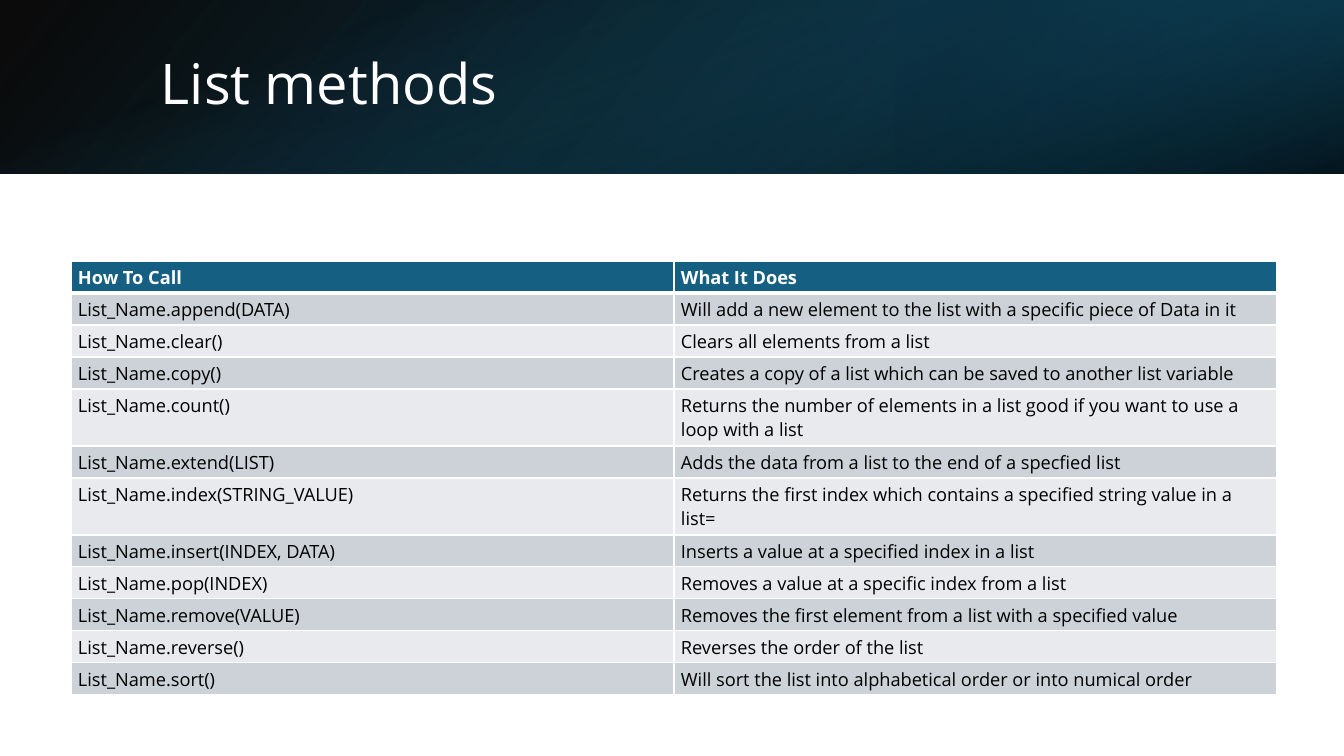
from dataclasses import dataclass

from lxml.etree import SubElement
from pptx import Presentation
from pptx.dml.color import RGBColor
from pptx.enum.shapes import MSO_SHAPE
from pptx.enum.text import MSO_ANCHOR
from pptx.oxml.ns import qn
from pptx.slide import Slide
from pptx.table import _Cell
from pptx.util import Pt

PX = 914400 / 100.8
SLIDE_W, SLIDE_H = 1344, 756
BAND_H = 174
TABLE_X, TABLE_Y, COLUMN_W = 71, 261, 603
ROW_H, WRAPPED_ROW_H = 32, 57

BLACK = RGBColor(0x00, 0x00, 0x00)
WHITE = RGBColor(0xFF, 0xFF, 0xFF)
TEAL = RGBColor(0x15, 0x60, 0x82)
DEEP_TEAL = RGBColor(0x10, 0x48, 0x62)
NAVY = RGBColor(0x0B, 0x30, 0x41)
ODD_ROW = RGBColor(0xCC, 0xD2, 0xD8)
EVEN_ROW = RGBColor(0xE8, 0xEA, 0xED)

TITLE_FONT = {"name": "Open Sans", "size": Pt(40)}
HEADER_FONT = {"name": "Open Sans", "size": Pt(13), "bold": True}
BODY_FONT = HEADER_FONT | {"bold": False}


@dataclass(frozen=True)
class Stop:
    position: int
    color: RGBColor
    opacity: int


@dataclass(frozen=True)
class Layer:
    """One gradient sheet of the header band; angle runs clockwise."""
    x: int
    y: int
    width: int
    height: int
    angle: int
    stops: tuple[Stop, Stop]
    rotation: int = 0
    flipped: bool = False


@dataclass(frozen=True)
class Method:
    call: str
    effect: str
    wraps: bool = False


TURNED_OFFSET = (SLIDE_W - BAND_H) // 2
BAND_LAYERS = (
    Layer(0, 0, SLIDE_W, BAND_H, 140,
          (Stop(0, BLACK, 96), Stop(100, DEEP_TEAL, 100)), flipped=True),
    Layer(896, 0, 448, BAND_H, 320,
          (Stop(19, NAVY, 68), Stop(100, TEAL, 79)), rotation=180, flipped=True),
    Layer(TURNED_OFFSET, -TURNED_OFFSET, BAND_H, SLIDE_W, 340,
          (Stop(23, TEAL, 0), Stop(99, BLACK, 74)), rotation=90),
)

METHODS = (
    Method("append(DATA)", "Will add a new element to the list with a specific piece of Data in it"),
    Method("clear()", "Clears all elements from a list"),
    Method("copy()", "Creates a copy of a list which can be saved to another list variable"),
    Method("count()", "Returns the number of elements in a list good if you want to use a loop with a list",
           wraps=True),
    Method("extend(LIST)", "Adds the data from a list to the end of a specfied list"),
    Method("index(STRING_VALUE)", "Returns the first index which contains a specified string value in a list=",
           wraps=True),
    Method("insert(INDEX, DATA)", "Inserts a value at a specified index in a list"),
    Method("pop(INDEX)", "Removes a value at a specific index from a list"),
    Method("remove(VALUE)", "Removes the first element from a list with a specified value"),
    Method("reverse()", "Reverses the order of the list"),
    Method("sort()", "Will sort the list into alphabetical order or into numical order"),
)


def px(*lengths: int) -> list[int]:
    return [round(length * PX) for length in lengths]


def apply_format(target: object, values: dict) -> None:
    for name, value in values.items():
        setattr(target, name, value)


def draw_layer(slide: Slide, layer: Layer) -> None:
    sheet = slide.shapes.add_shape(
        MSO_SHAPE.RECTANGLE, *px(layer.x, layer.y, layer.width, layer.height))
    sheet.shadow.inherit = False
    sheet.line.fill.background()
    sheet.rotation = layer.rotation
    if layer.flipped:
        sheet.element.spPr.xfrm.set("flipH", "1")
    sheet.fill.gradient()
    sheet.fill.gradient_angle = 360 - layer.angle
    for gradient_stop, stop in zip(sheet.fill.gradient_stops, layer.stops):
        gradient_stop.position = stop.position / 100
        gradient_stop.color.rgb = stop.color
    for color, stop in zip(sheet.element.spPr.iter(qn("a:srgbClr")), layer.stops):
        SubElement(color, qn("a:alpha"), val=str(stop.opacity * 1000))


def draw_title(slide: Slide, wording: str) -> None:
    frame = slide.shapes.add_textbox(*px(151, 38, 1107, 97)).text_frame
    apply_format(frame, {"word_wrap": True, "vertical_anchor": MSO_ANCHOR.MIDDLE})
    heading = frame.paragraphs[0]
    heading.line_spacing = 0.9
    run = heading.add_run()
    run.text = wording
    apply_format(run.font, TITLE_FONT)
    run.font.color.rgb = WHITE


def add_borders(cell: _Cell, bottom: int, top: int) -> None:
    """Rule the cell in white; widths in points go before the cell's fill."""
    properties = cell._tc.get_or_add_tcPr()
    for index, (side, width) in enumerate(
            {"lnL": 1, "lnR": 1, "lnT": top, "lnB": bottom}.items()):
        line = SubElement(properties, qn(f"a:{side}"), w=str(Pt(width)))
        fill = SubElement(line, qn("a:solidFill"))
        SubElement(fill, qn("a:srgbClr"), val=str(WHITE))
        properties.insert(index, line)


def fill_cell(cell: _Cell, wording: str, row: int) -> None:
    is_header = row == 0
    left, top, right, bottom = px(7, 4, 7, 3)
    apply_format(cell, {"margin_left": left, "margin_top": top,
                        "margin_right": right, "margin_bottom": bottom})
    cell.fill.solid()
    cell.fill.fore_color.rgb = TEAL if is_header else ODD_ROW if row % 2 else EVEN_ROW
    add_borders(cell, bottom=3 if is_header else 1, top=3 if row == 1 else 1)
    run = cell.text_frame.paragraphs[0].add_run()
    run.text = wording
    apply_format(run.font, HEADER_FONT if is_header else BODY_FONT)
    run.font.color.rgb = WHITE if is_header else BLACK


def draw_methods(slide: Slide, methods: tuple[Method, ...]) -> None:
    rows = [("How To Call", "What It Does")]
    rows += [(f"List_Name.{method.call}", method.effect) for method in methods]
    heights = [ROW_H] + [WRAPPED_ROW_H if method.wraps else ROW_H for method in methods]
    table = slide.shapes.add_table(
        len(rows), 2, *px(TABLE_X, TABLE_Y, 2 * COLUMN_W, sum(heights))).table
    for column in table.columns:
        column.width = px(COLUMN_W)[0]
    for index, (wordings, height) in enumerate(zip(rows, px(*heights))):
        table.rows[index].height = height
        for cell, wording in zip(table.rows[index].cells, wordings):
            fill_cell(cell, wording, index)


def main() -> None:
    deck = Presentation()
    deck.slide_width, deck.slide_height = px(SLIDE_W, SLIDE_H)
    slide = deck.slides.add_slide(deck.slide_layouts[6])
    for layer in BAND_LAYERS:
        draw_layer(slide, layer)
    draw_title(slide, "List methods")
    draw_methods(slide, METHODS)
    deck.save("out.pptx")


if __name__ == "__main__":
    main()
